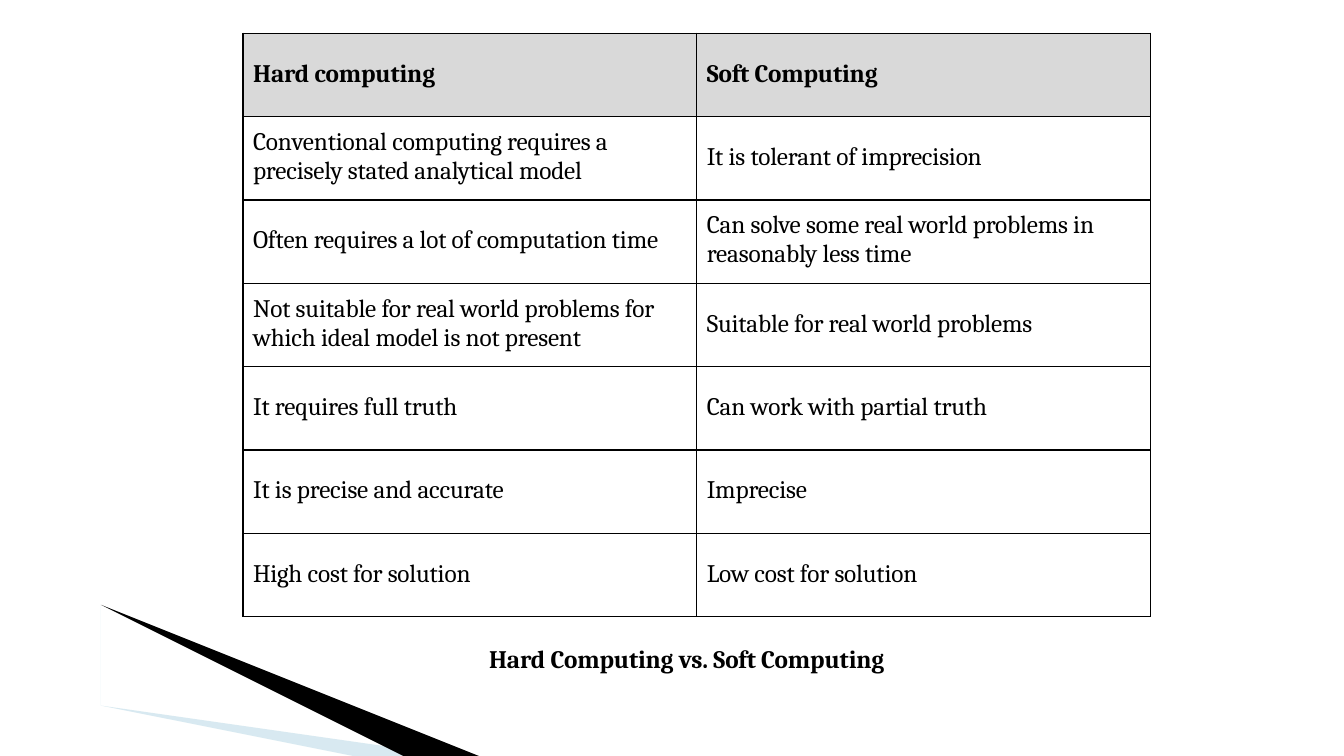
from pptx import Presentation, util as u
from pptx.dml.color import RGBColor
from pptx.enum import text
from pptx.oxml import parse_xml
from pptx.oxml.ns import nsdecls, qn
from lxml import etree

WIDTH, HEIGHT = 13.33, 7.5
FONT, SIZE = "Cambria", 18
INK, HEADER, PALE_BLUE = "000000", "D9D9D9", "9FCADC"
WRAP_LENGTH = 45
ROWS = [
    ("Hard computing", "Soft Computing"),
    ("Conventional computing requires a\nprecisely stated analytical model",
     "It is tolerant of imprecision"),
    ("Often requires a lot of computation time",
     "Can solve some real world problems in\nreasonably less time"),
    ("Not suitable for real world problems for which ideal model is not present",
     "Suitable for real world problems"),
    ("It requires full truth", "Can work with partial truth"),
    ("It is precise and accurate", "Imprecise"),
    ("High cost for solution", "Low cost for solution"),
]
PALE_WEDGE = [
    [(0.85, 6.52), (6.03, 7.5), (7.87, 7.5)],
    [(0.73, 6.5), (0.73, 6.51), (0.85, 6.52)],
]
DARK_WEDGE = [[(0.71, 6.49), (0.72, 6.5), (4.89, 7.5), (6.03, 7.5)]]


def color(value):
    """Turn a hex string into a colour."""
    return RGBColor.from_string(value)


def format_text(text_frame, bold):
    """Give every run the slide's font."""
    for paragraph in text_frame.paragraphs:
        paragraph.alignment = text.PP_ALIGN.LEFT
        paragraph.line_spacing = 1.0
        paragraph.space_before = u.Pt(0)
        for run in paragraph.runs:
            run.font.name, run.font.size, run.font.bold = FONT, u.Pt(SIZE), bold
            run.font.color.rgb = color(INK)
            run.font._element.set("spc", "-10")


def add_wedge(slide, contours, fill, alpha=100):
    """Draw one corner wedge from its contours."""
    builder = slide.shapes.build_freeform(*contours[0][0], scale=u.Inches(1))
    builder.add_line_segments(contours[0][1:])
    for contour in contours[1:]:
        builder.move_to(*contour[0])
        builder.add_line_segments(contour[1:])
    shape = builder.convert_to_shape()
    shape.shadow.inherit = False
    shape.fill.solid()
    shape.fill.fore_color.rgb = color(fill)
    shape.line.fill.background()
    if alpha < 100:
        tint = shape.fill._xPr.find(qn("a:solidFill"))[0]
        etree.SubElement(tint, qn("a:alpha"), val=str(alpha * 1000))


def add_borders(cell):
    """Rule all four sides of a cell."""
    properties = cell._tc.get_or_add_tcPr()
    for side in "LRTB":
        properties.append(parse_xml(
            f'<a:ln{side} {nsdecls("a")} w="12700"><a:solidFill>'
            f'<a:srgbClr val="{INK}"/></a:solidFill></a:ln{side}>'))


def add_comparison(slide, left, top, width, height):
    """Fill the box with the comparison table."""
    columns = len(ROWS[0])
    box = [u.Inches(length) for length in (left, top, width, height)]
    table = slide.shapes.add_table(len(ROWS), columns, *box).table
    table.horz_banding = False
    for column in table.columns:
        column.width = u.Inches(width / columns)
    for row_index, row in enumerate(ROWS):
        table.rows[row_index].height = u.Inches(height / len(ROWS))
        for column_index, wording in enumerate(row):
            cell = table.cell(row_index, column_index)
            is_header = row_index == 0
            cell.text_frame.text = wording
            cell.margin_left = u.Inches(0.1)
            cell.margin_right = cell.margin_bottom = 0
            cell.margin_top = u.Inches(0.11 if len(wording) > WRAP_LENGTH else 0.26)
            format_text(cell.text_frame, is_header)
            add_borders(cell)
            if is_header:
                cell.fill.solid()
                cell.fill.fore_color.rgb = color(HEADER)
            else:
                cell.fill.background()


def place_caption(slide, left, top, width, height):
    """Move the title into the box below the table."""
    title = slide.shapes.title
    title.left, title.top = u.Inches(left), u.Inches(top)
    title.width, title.height = u.Inches(width), u.Inches(height)
    frame = title.text_frame
    frame.text = "Hard Computing vs. Soft Computing"
    frame.word_wrap = True
    frame.auto_size = text.MSO_AUTO_SIZE.NONE
    frame.vertical_anchor = text.MSO_ANCHOR.TOP
    frame.margin_left = frame.margin_top = u.Inches(0.01)
    frame.margin_right = frame.margin_bottom = 0
    format_text(frame, True)


def main():
    """Build and save the slide."""
    presentation = Presentation()
    presentation.slide_width = u.Inches(WIDTH)
    presentation.slide_height = u.Inches(HEIGHT)
    slide = presentation.slides.add_slide(presentation.slide_layouts[5])
    add_wedge(slide, PALE_WEDGE, PALE_BLUE, alpha=40)
    add_wedge(slide, DARK_WEDGE, INK)
    add_comparison(slide, 2.41, 0.33, 9, 5.79)
    place_caption(slide, 4.84, 6.37, 4.08, 0.33)
    presentation.save("out.pptx")


if __name__ == "__main__":
    main()
